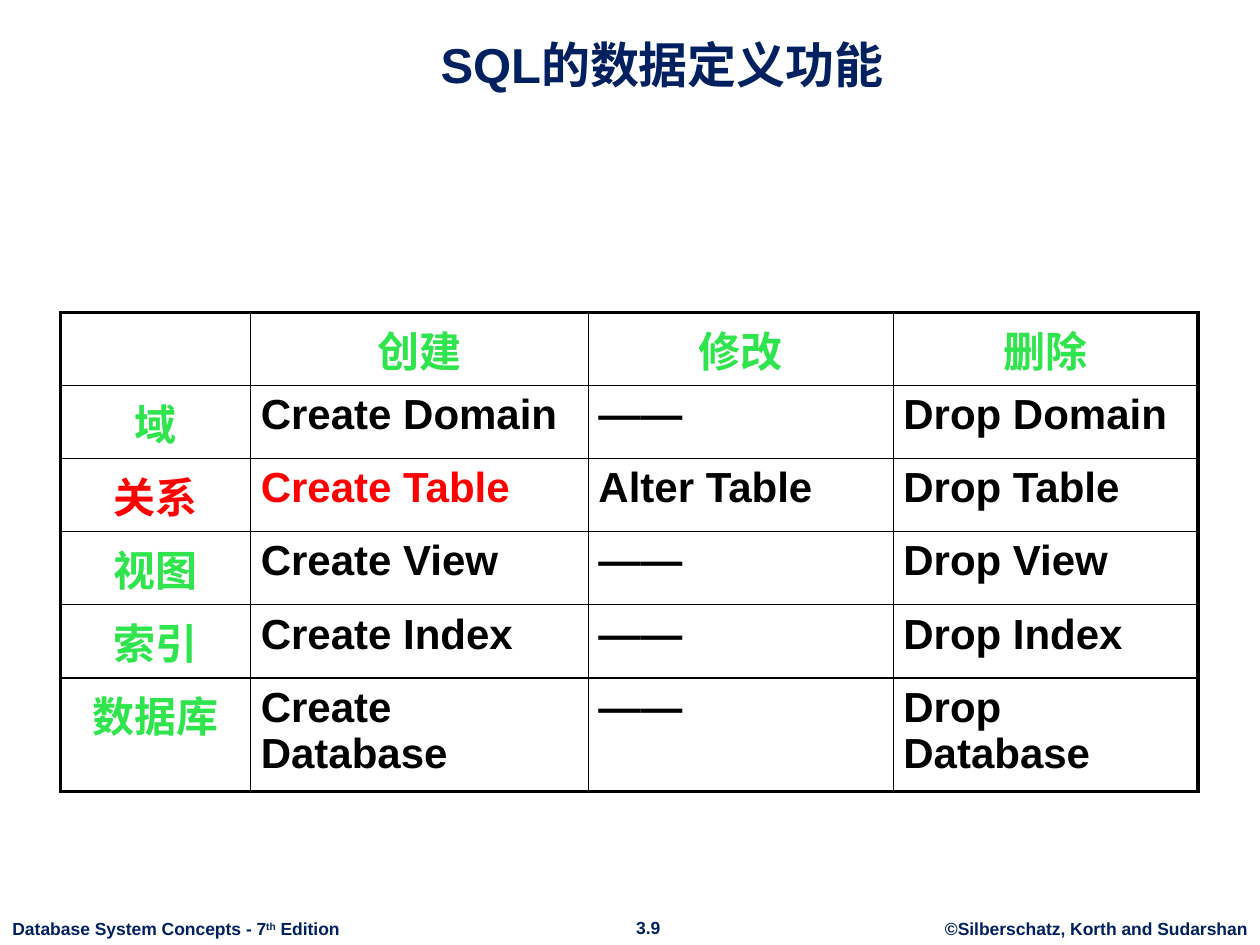
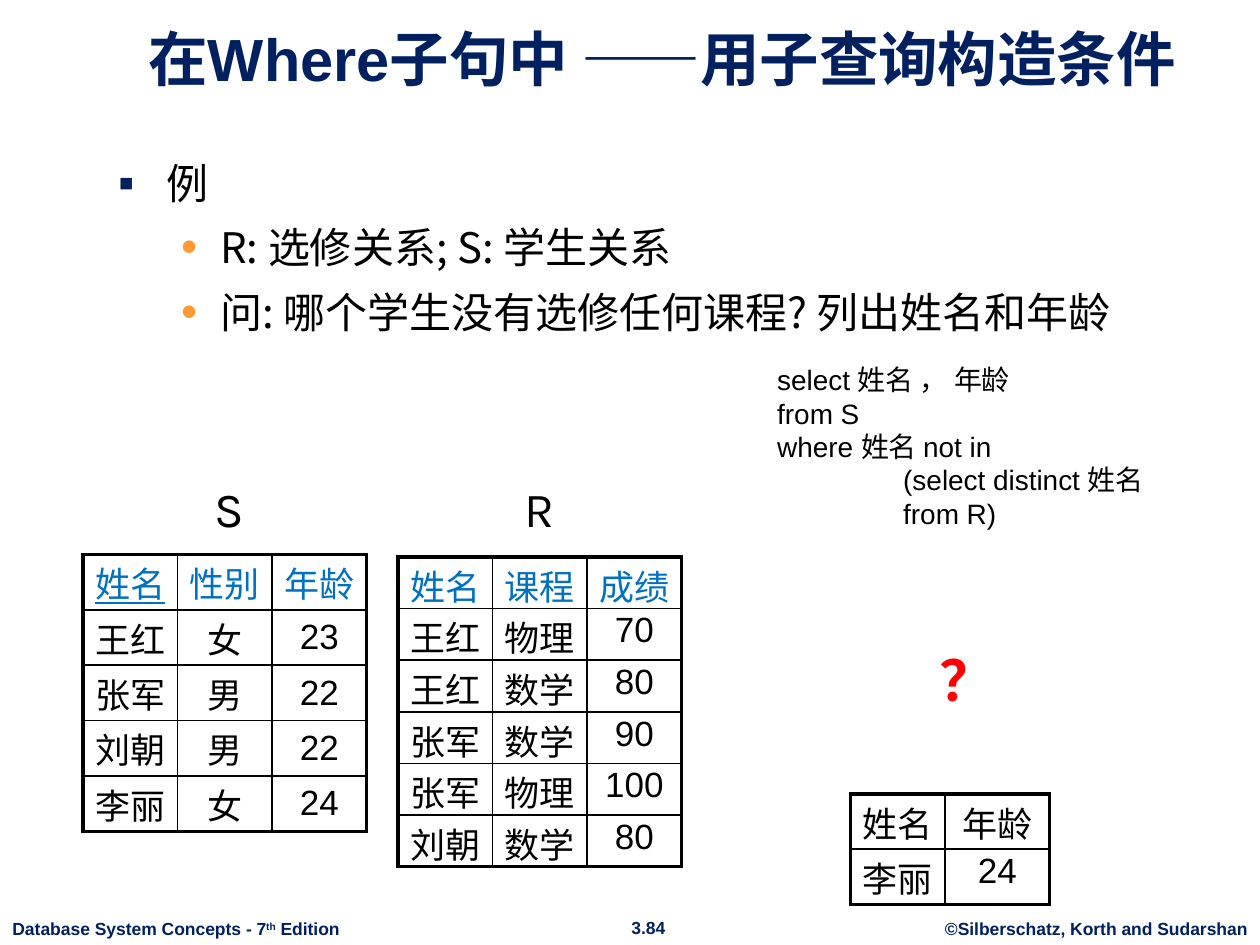
from lxml import etree
from pptx import Presentation
from pptx.dml.color import RGBColor
from pptx.enum.text import MSO_ANCHOR, PP_ALIGN
from pptx.oxml.ns import qn
from pptx.util import Inches, Pt

LEFT, CENTER = PP_ALIGN.LEFT, PP_ALIGN.CENTER
TOP, MIDDLE, BOTTOM = MSO_ANCHOR.TOP, MSO_ANCHOR.MIDDLE, MSO_ANCHOR.BOTTOM
NAVY, BLACK, WHITE, RED = "002060", "000000", "FFFFFF", "FF0000"
GREEN, BLUE, ORANGE = "30E44E", "0070C0", "FF9933"
LATIN, CHINESE, LABEL = "Arial", "Noto Sans CJK SC", "Karla"
TITLE_BOX = (0.84, 0.12, 8.83, 0.67)
OUTER_LINE, INNER_LINE = 2.25, 1


def color(value):
    return RGBColor.from_string(value)


def format_runs(paragraph, size, value=BLACK, bold=False, name=LATIN):
    for run in paragraph.runs:
        run.font.size = Pt(size)
        run.font.name = name
        run.font.bold = bold
        run.font.color.rgb = color(value)


def add_text(slide, box, text, size, value=BLACK, bold=False, name=LATIN,
             align=LEFT, wrap=True):
    """Add a text box and return its paragraphs."""
    shape = slide.shapes.add_textbox(*map(Inches, box))
    frame = shape.text_frame
    frame.word_wrap = wrap
    frame.text = text
    for paragraph in frame.paragraphs:
        paragraph.alignment = align
        format_runs(paragraph, size, value, bold, name)
    return frame.paragraphs


# Shared slide parts
def add_footer(slide, number):
    edition = add_text(slide, (0, 7.24, 2.81, 0.27), "Database System Concepts - 7",
                       10, NAVY, True, wrap=False)[0]
    for text in ("th", " Edition"):
        edition.add_run().text = text
    format_runs(edition, 10, NAVY, True)
    edition.runs[1].font._element.set("baseline", "30000")
    for box, text in (((4.9, 7.23, 0.49, 0.27), number),
                      ((7.4, 7.24, 2.6, 0.27), "©Silberschatz, Korth and Sudarshan")):
        add_text(slide, box, text, 10, NAVY, True, align=CENTER, wrap=False)


def add_slide(presentation, title, title_size, number):
    slide = presentation.slides.add_slide(presentation.slide_layouts[5])
    slide.background.fill.solid()
    slide.background.fill.fore_color.rgb = color(WHITE)
    shape = slide.shapes.title
    shape.left, shape.top, shape.width, shape.height = map(Inches, TITLE_BOX)
    frame = shape.text_frame
    frame.text = title
    frame.word_wrap = True
    frame.vertical_anchor = BOTTOM
    frame.paragraphs[0].alignment = CENTER
    format_runs(frame.paragraphs[0], title_size, NAVY, True)
    add_footer(slide, number)
    return slide


# Tables
def set_borders(cell, widths):
    properties = cell._tc.get_or_add_tcPr()
    for index, (side, width) in enumerate(zip(("lnL", "lnR", "lnT", "lnB"), widths)):
        line = etree.Element(qn("a:" + side), w=str(Pt(width)))
        fill = etree.SubElement(line, qn("a:solidFill"))
        etree.SubElement(fill, qn("a:srgbClr"), val=BLACK)
        properties.insert(index, line)


def add_grid(slide, position, columns, heights, rows, size, insets, style,
             anchor=TOP, bold=False, header_fill=None):
    """Add a framed table; style(row, column) gives colour and alignment."""
    box = (*position, sum(columns), sum(heights))
    table = slide.shapes.add_table(len(rows), len(columns), *map(Inches, box)).table
    table.first_row = table.horz_banding = False
    for column, width in zip(table.columns, columns):
        column.width = Inches(width)
    for row, height in zip(table.rows, heights):
        row.height = Inches(height)
    last_row, last_column = len(rows) - 1, len(columns) - 1
    for r, texts in enumerate(rows):
        for c, text in enumerate(texts):
            cell = table.cell(r, c)
            cell.margin_left = cell.margin_right = Inches(insets[0])
            cell.margin_top = cell.margin_bottom = Inches(insets[1])
            cell.vertical_anchor = anchor
            if header_fill and r == 0:
                cell.fill.solid()
                cell.fill.fore_color.rgb = color(header_fill)
            else:
                cell.fill.background()
            edges = (c == 0, c == last_column, r == 0, r == last_row)
            set_borders(cell, [OUTER_LINE if edge else INNER_LINE for edge in edges])
            cell.text_frame.text = text
            paragraph = cell.text_frame.paragraphs[0]
            value, paragraph.alignment = style(r, c)
            format_runs(paragraph, size, value, bold)
    return table


def add_relation(slide, position, columns, row_height, rows, header=BLUE, anchor=TOP):
    def style(row, column):
        return (BLACK if row else header), CENTER

    return add_grid(slide, position, columns, [row_height] * len(rows), rows, 20,
                    (0.04, 0.02), style, anchor, header_fill=WHITE)


# Outline with bullets
def add_bullet(paragraph, symbol, value, left, hanging):
    properties = paragraph._p.get_or_add_pPr()
    properties.set("marL", str(Inches(left)))
    properties.set("indent", str(-Inches(hanging)))
    bullet_color = etree.SubElement(properties, qn("a:buClr"))
    etree.SubElement(bullet_color, qn("a:srgbClr"), val=value)
    etree.SubElement(properties, qn("a:buSzPct"), val="110000")
    etree.SubElement(properties, qn("a:buFont"), typeface=LATIN)
    etree.SubElement(properties, qn("a:buChar"), char=symbol)


def add_outline(slide, box, items):
    shape = slide.shapes.add_textbox(*map(Inches, box))
    frame = shape.text_frame
    frame.word_wrap = True
    frame.text = "\n".join(text for _, text in items)
    for index, (level, _) in enumerate(items):
        paragraph = frame.paragraphs[index]
        if level:
            add_bullet(paragraph, "•", ORANGE, 0.81, 0.31)
        else:
            add_bullet(paragraph, "▪", NAVY, 0.38, 0.38)
        paragraph.level = level
        if index:
            paragraph.space_before = Pt(8)
        format_runs(paragraph, 24, name=CHINESE if level else LATIN)


def add_query(slide, box, lines):
    for paragraph in add_text(slide, box, "\n".join(lines), 16):
        tabs = etree.SubElement(paragraph._p.get_or_add_pPr(), qn("a:tabLst"))
        etree.SubElement(tabs, qn("a:tab"), pos=str(Inches(1)), algn="l")
        paragraph.line_spacing = Pt(19.1)


# Slides
def build_definition_slide(presentation):
    slide = add_slide(presentation, "SQL的数据定义功能", 28, "3.9")
    rows = [("", "创建", "修改", "删除")]
    for name, keyword in (("域", "Domain"), ("关系", "Table"), ("视图", "View"),
                          ("索引", "Index"), ("数据库", "Database")):
        change = "Alter Table" if keyword == "Table" else "——"
        rows.append((name, f"Create {keyword}", change, f"Drop {keyword}"))

    def style(row, column):
        heading = row == 0 or column == 0
        if rows[row][0] == "关系" and column < 2:
            value = RED
        else:
            value = GREEN if heading else BLACK
        return value, CENTER if heading else LEFT

    add_grid(slide, (0.48, 2.48), (1.51, 2.68, 2.42, 2.42), [0.58] * 5 + [0.9],
             rows, 24, (0.08, 0.05), style, bold=True)


def build_subquery_slide(presentation):
    slide = add_slide(presentation, "在Where子句中 ——用子查询构造条件", 34, "3.84")
    add_outline(slide, (0.84, 1.2, 8.43, 5.36), (
        (0, "例"),
        (1, "R: 选修关系; S: 学生关系"),
        (1, "问: 哪个学生没有选修任何课程? 列出姓名和年龄"),
    ))

    # Query result
    add_relation(slide, (6.75, 6.3), (0.75, 0.83), 0.44,
                 (("姓名", "年龄"), ("李丽", "24")), header=BLACK)

    # Students
    students = add_relation(slide, (0.66, 4.4), [0.75] * 3, 0.44, (
        ("姓名", "性别", "年龄"),
        ("王红", "女", "23"),
        ("张军", "男", "22"),
        ("刘朝", "男", "22"),
        ("李丽", "女", "24"),
    ), anchor=MIDDLE)
    students.cell(0, 0).text_frame.paragraphs[0].runs[0].font.underline = True
    add_text(slide, (1.6, 3.75, 0.42, 0.57), "S", 28, name=LABEL, wrap=False)

    # Enrolments
    add_relation(slide, (3.16, 4.42), [0.75] * 3, 0.41, (
        ("姓名", "课程", "成绩"),
        ("王红", "物理", "70"),
        ("王红", "数学", "80"),
        ("张军", "数学", "90"),
        ("张军", "物理", "100"),
        ("刘朝", "数学", "80"),
    ))
    add_text(slide, (3.66, 3.75, 1.25, 0.57), "R", 28, name=LABEL, align=CENTER)

    # Question and query
    question = add_text(slide, (7.35, 4.99, 0.65, 0.65), "？", 32, RED, True, LABEL,
                        CENTER, wrap=False)
    question[0].line_spacing = 1.15
    add_query(slide, (6.07, 2.83, 3.59, 1.45), (
        "select 姓名 ， 年龄",
        "from S",
        "where 姓名 not in",
        "\t(select distinct 姓名",
        "\tfrom R)",
    ))


def main():
    presentation = Presentation()
    presentation.slide_width, presentation.slide_height = Inches(10), Inches(7.5)
    build_definition_slide(presentation)
    build_subquery_slide(presentation)
    presentation.save("out.pptx")


if __name__ == "__main__":
    main()
